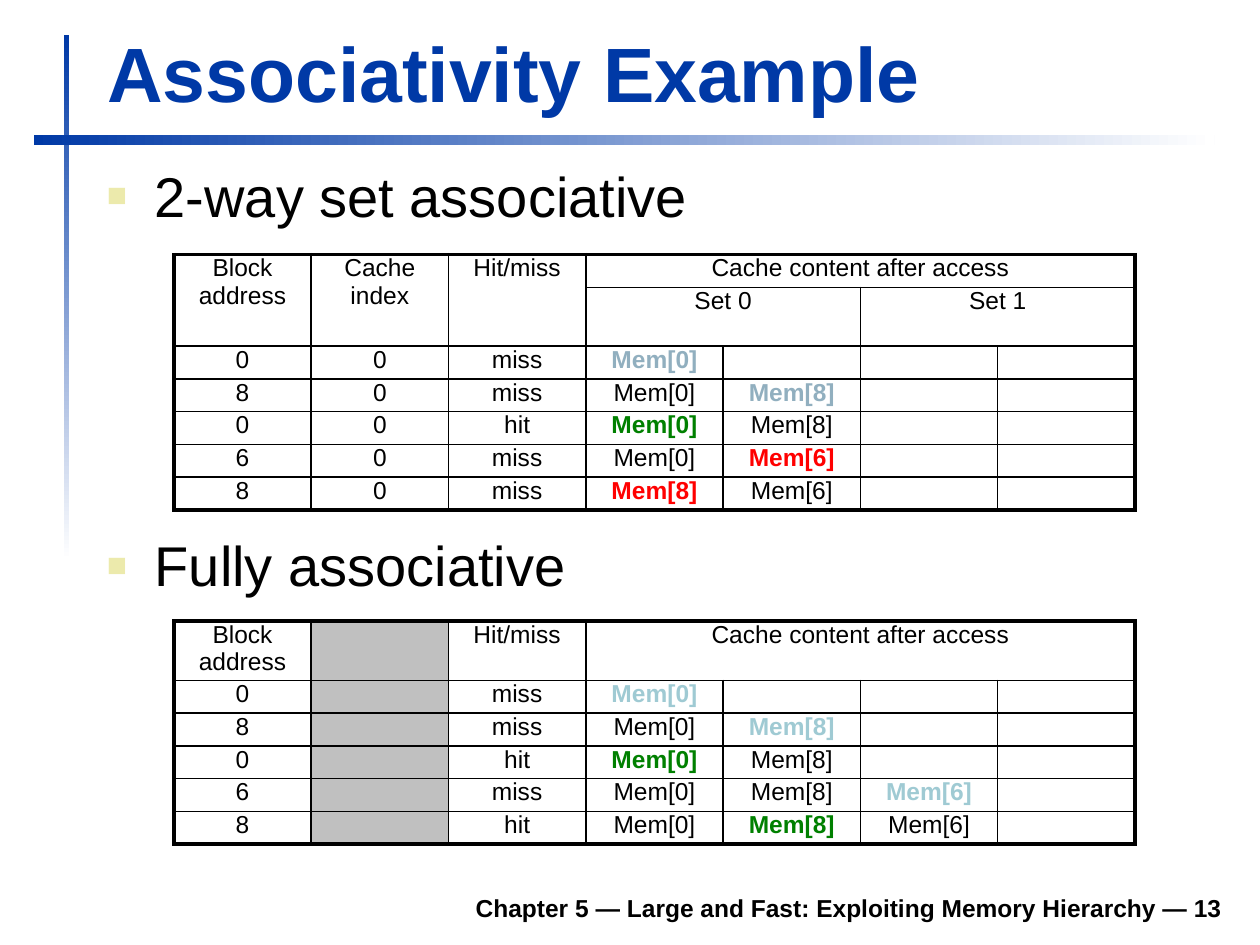
from pptx import Presentation, util as u
from pptx.dml import color
from pptx.enum import shapes, text
from pptx.oxml import ns
from lxml import etree

COLORS = {
    "title": "0039A6", "fade": "FFFFFF", "ink": "000000", "bullet": "ECEAAC",
    "unused": "C0C0C0", "first": "91AFBF", "load": "9FCAD3",
    "hit": "008000", "replace": "FF0000",
}
FONT = "Arial"
COLUMNS, COLUMN_WIDTH, ROW_HEIGHT = 7, 1.09, 0.26
OUTER, INNER = 2.25, 1

SET_ROWS = [
    ["Block address", "Cache index", "Hit/miss", "Cache content after access"],
    ["", "", "", "Set 0", "", "Set 1"],
    ["0", "0", "miss", "Mem[0]|first"],
    ["8", "0", "miss", "Mem[0]", "Mem[8]|first"],
    ["0", "0", "hit", "Mem[0]|hit", "Mem[8]"],
    ["6", "0", "miss", "Mem[0]", "Mem[6]|replace"],
    ["8", "0", "miss", "Mem[8]|replace", "Mem[6]"],
]
SET_SPANS = [(0, 0, 1, 0), (0, 1, 1, 1), (0, 2, 1, 2),
             (0, 3, 0, 6), (1, 3, 1, 4), (1, 5, 1, 6)]
FULL_ROWS = [
    ["Block address", "", "Hit/miss", "Cache content after access"],
    ["0", "", "miss", "Mem[0]|load"],
    ["8", "", "miss", "Mem[0]", "Mem[8]|load"],
    ["0", "", "hit", "Mem[0]|hit", "Mem[8]"],
    ["6", "", "miss", "Mem[0]", "Mem[8]", "Mem[6]|load"],
    ["8", "", "hit", "Mem[0]", "Mem[8]|hit", "Mem[6]"],
]
FULL_SPANS = [(0, 3, 0, 6)]


def rgb(name):
    return color.RGBColor.from_string(COLORS[name])


def inches(box):
    return [u.Inches(length) for length in box]


def add_node(parent, tag, **attributes):
    node = etree.SubElement(parent, ns.qn(tag))
    for key, value in attributes.items():
        node.set(key, str(value))
    return node


def format_text(para, size, tint="ink", bold=False):
    for span in para.runs:
        span.font.name = FONT
        span.font.size = u.Pt(size)
        span.font.bold = bold
        span.font.color.rgb = rgb(tint)


def space_before(para):
    props = para._p.get_or_add_pPr()
    add_node(add_node(props, "a:spcBef"), "a:spcPct", val=20000)
    return props


def add_bar(page, box, angle):
    bar = page.shapes.add_shape(shapes.MSO_SHAPE.RECTANGLE, *inches(box))
    bar.shadow.inherit = False
    bar.line.fill.background()
    bar.fill.gradient()
    bar.fill.gradient_angle = angle
    for stop, name in zip(bar.fill.gradient_stops, ("title", "fade")):
        stop.color.rgb = rgb(name)


def add_title(page, box, words):
    title = page.shapes.title
    title.left, title.top, title.width, title.height = inches(box)
    frame = title.text_frame
    frame.text = words
    frame.auto_size = text.MSO_AUTO_SIZE.NONE
    frame.vertical_anchor = text.MSO_ANCHOR.BOTTOM
    para = frame.paragraphs[0]
    para.alignment = text.PP_ALIGN.LEFT
    format_text(para, 44, "title", True)


def add_text(page, box, words, size, bold=False):
    frame = page.shapes.add_textbox(*inches(box)).text_frame
    frame.word_wrap = True
    frame.text = words
    para = frame.paragraphs[0]
    format_text(para, size, bold=bold)
    return frame, para


def add_bullet(page, box, words, spacing=None):
    frame, para = add_text(page, box, words, 32)
    para.line_spacing = spacing
    props = space_before(para)
    indent = u.Inches(0.38)
    props.set("marL", str(indent))
    props.set("indent", str(-indent))
    add_node(add_node(props, "a:buClr"), "a:srgbClr", val=COLORS["bullet"])
    add_node(props, "a:buSzPct", val=60000)
    add_node(props, "a:buFont", typeface=FONT)
    add_node(props, "a:buChar", char="■")


def add_footer(page, box, words):
    frame, para = add_text(page, box, words, 14, True)
    frame.vertical_anchor = text.MSO_ANCHOR.BOTTOM
    para.alignment = text.PP_ALIGN.RIGHT


def set_borders(cell, row, column, row_count):
    height, width = (cell.span_height, cell.span_width) if cell.is_merge_origin else (1, 1)
    on_edge = {
        "a:lnL": column == 0,
        "a:lnR": column + width == COLUMNS,
        "a:lnT": row == 0,
        "a:lnB": row + height == row_count,
    }
    props = cell._tc.get_or_add_tcPr()
    for index, (tag, outer) in enumerate(on_edge.items()):
        if cell.is_spanned and not outer:
            continue
        line = etree.Element(ns.qn(tag), w=str(u.Pt(OUTER if outer else INNER)))
        fill = add_node(line, "a:solidFill")
        add_node(fill, "a:srgbClr", val=COLORS["ink"])
        props.insert(min(index, len(props) - 1), line)


def fill_cell(cell, entry, tint):
    cell.margin_left = cell.margin_right = u.Inches(0.1)
    cell.margin_top = cell.margin_bottom = 0
    words, _, mark = entry.partition("|")
    cell.text = words
    para = cell.text_frame.paragraphs[0]
    para.alignment = text.PP_ALIGN.CENTER
    space_before(para)
    format_text(para, 14, mark or "ink", bool(mark))
    if not words:
        add_node(para._p, "a:endParaRPr", sz=1400)
    if tint:
        cell.fill.solid()
        cell.fill.fore_color.rgb = rgb(tint)
    else:
        cell.fill.background()


def add_cache_table(page, left, top, rows, spans, tall_row, tall_height, unused=None):
    heights = [tall_height if index == tall_row else ROW_HEIGHT for index in range(len(rows))]
    box = left, top, COLUMNS * COLUMN_WIDTH, sum(heights)
    table = page.shapes.add_table(len(rows), COLUMNS, *inches(box)).table
    table.first_row = table.horz_banding = False
    for column in table.columns:
        column.width = u.Inches(COLUMN_WIDTH)
    for row, height in zip(table.rows, heights):
        row.height = u.Inches(height)
    for top_row, first, bottom_row, last in spans:
        table.cell(top_row, first).merge(table.cell(bottom_row, last))
    for row, entries in enumerate(rows):
        padded = entries + [""] * (COLUMNS - len(entries))
        for column, entry in enumerate(padded):
            cell = table.cell(row, column)
            fill_cell(cell, entry, "unused" if column == unused else None)
            set_borders(cell, row, column, len(rows))


def build_slide(deck):
    page = deck.slides.add_slide(deck.slide_layouts[5])
    add_bar(page, (0.51, 0.28, 0.04, 4.17), 270)
    add_bar(page, (0.27, 1.07, 9.37, 0.08), 0)
    add_title(page, (0.75, 0.16, 9.03, 0.83), "Associativity Example")
    add_bullet(page, (0.75, 1.23, 9.05, 0.79), "2-way set associative")
    add_cache_table(page, 1.38, 2.02, SET_ROWS, SET_SPANS, 1, 0.44)
    add_bullet(page, (0.75, 4.22, 8.5, 0.63), "Fully associative", 0.9)
    add_cache_table(page, 1.38, 4.93, FULL_ROWS, FULL_SPANS, 0, 0.47, unused=1)
    add_footer(page, (1.85, 6.98, 7.95, 0.39),
               "Chapter 5 — Large and Fast: Exploiting Memory Hierarchy — 13")


deck = Presentation()
deck.slide_width, deck.slide_height = inches((10, 7.5))
build_slide(deck)
deck.save("out.pptx")
